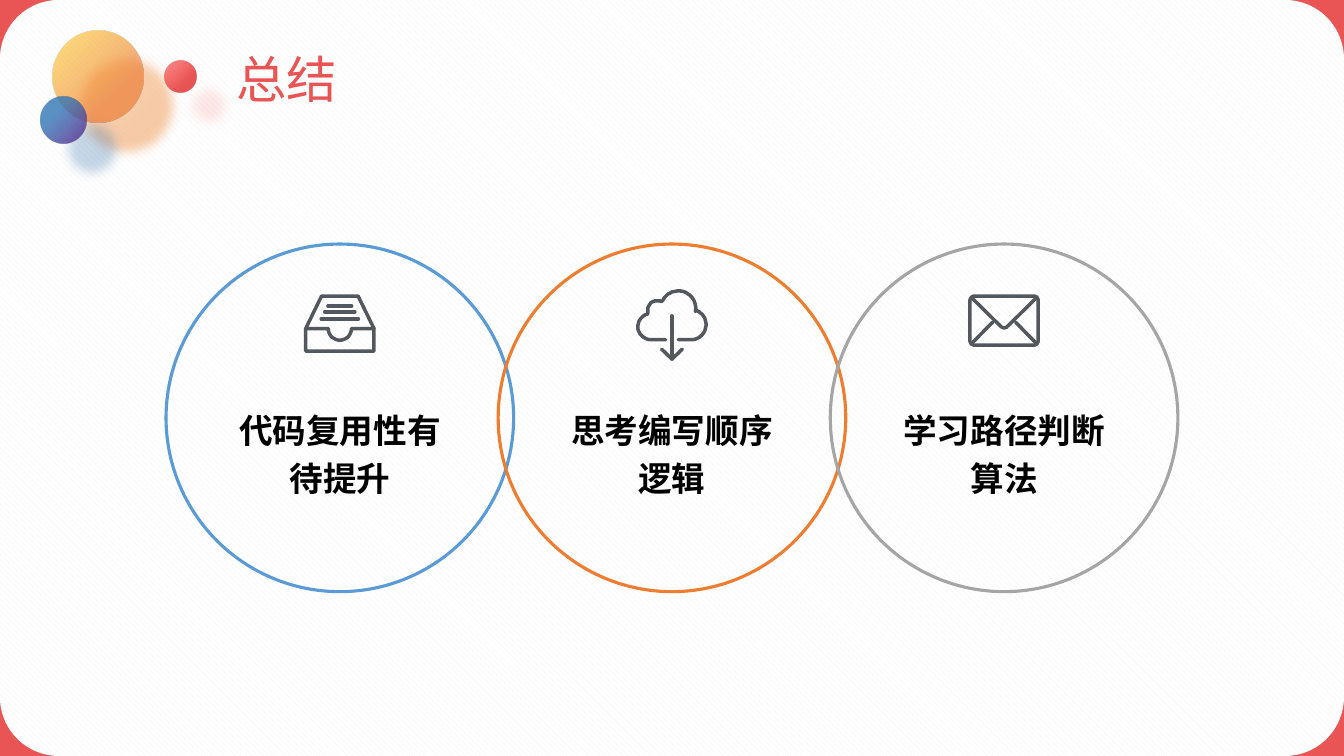
from dataclasses import dataclass
from math import cos, radians, sin
from typing import Any

from lxml.etree import SubElement
from pptx import Presentation
from pptx.dml.color import RGBColor
from pptx.enum.dml import MSO_PATTERN
from pptx.enum.shapes import MSO_SHAPE
from pptx.enum.text import MSO_AUTO_SIZE, PP_ALIGN
from pptx.oxml import parse_xml
from pptx.oxml.ns import nsdecls, qn
from pptx.shapes.autoshape import Shape
from pptx.slide import Slide
from pptx.util import Cm, Pt

Contour = list[tuple[float, float]]


@dataclass(frozen=True)
class Theme:
    """Colours, font and sizes of the slide."""

    accent: str = "E95555"
    paper: str = "FFFFFF"
    stripe: str = "F2F2F2"
    ink: str = "000000"
    icon: str = "53585F"
    font: str = "Noto Sans CJK SC"
    title_size: float = 36
    point_size: float = 24
    ring_line: float = 2.25
    icon_line: float = 2.5


@dataclass(frozen=True)
class Bubble:
    """A glowing decorative ball."""

    left: float
    top: float
    size: float
    stops: tuple[tuple[int, str, int], ...]
    focus: tuple[int, int, int, int]
    glow: str
    glow_alpha: int


@dataclass(frozen=True)
class Point:
    """One conclusion with its ring colour and icon."""

    wording: str
    ring: str
    icon: list[Contour]


def arc(x: float, y: float, radius: float, start: int, end: int) -> Contour:
    """Return points along an arc, clockwise from the right."""
    angles = [radians(start + (end - start) * step / 24) for step in range(25)]
    return [(x + radius * cos(a), y + radius * sin(a)) for a in angles]


THEME = Theme()
SLIDE_WIDTH, SLIDE_HEIGHT = 33.87, 19.05
RING_SIZE, RING_TOP, RING_PITCH = 8.76, 6.15, 8.37
POINT_WIDTH, POINT_TOP, POINT_HEIGHT = 5.79, 10.0, 2.62
ICON_TOP = 7.29

INBOX = [
    [(-46, 17), (46, 17), (86, 99), (86, 156), (-86, 156), (-86, 99), (-46, 17)],
    [(-86, 99), *arc(0, 99, 29, 180, 0), (86, 99)],
    *([(-half, y), (half, y)] for half, y in ((30, 42), (38, 57), (47, 75))),
]
CLOUD = [
    [(-16, 127), *arc(-53, 94, 33, 90, 252), *arc(-37, 53, 24.5, 160, 295),
     *arc(16, 48, 44, 207, 370), *arc(48, 89, 38, -70, 90), (16, 127)],
    [(0, 67), (0, 176)],
    [(-26, 151), (0, 176), (26, 151)],
]
ENVELOPE = [
    [*arc(-74, 29, 12, 180, 270), *arc(74, 29, 12, 270, 360),
     *arc(74, 129, 12, 0, 90), *arc(-74, 129, 12, 90, 180), (-86, 29)],
    [(-83, 20), *arc(0, 84, 13, 135, 45), (83, 20)],
    *([(side * 83, 138), (side * 29, 83)] for side in (-1, 1)),
]

BUBBLES = (
    Bubble(1.32, 0.78, 2.3, ((34, "ED7D31", 65), (100, "FFC000", 50)),
           (100, 100, 0, 0), "F3AF78", 100),
    Bubble(4.14, 1.54, 0.8, ((34, "E53333", 83), (100, "FF4747", 62)),
           (100, 100, 0, 0), "FF4747", 17),
    Bubble(1.01, 2.43, 1.18, ((34, "2E75B6", 78), (100, "632A8D", 85)),
           (0, 0, 100, 100), "497EB1", 40),
)
POINTS = (
    Point("代码复用性有待提升", "5B9BD5", INBOX),
    Point("思考编写顺序逻辑", "ED7D31", CLOUD),
    Point("学习路径判断算法", "A5A5A5", ENVELOPE),
)


def apply(target: Any, values: dict[str, Any]) -> None:
    """Set every listed attribute on the target."""
    for name, value in values.items():
        setattr(target, name, value)


def outline(shape: Shape, color: str, width: float) -> None:
    """Leave a shape hollow with a coloured outline."""
    shape.shadow.inherit = False
    shape.fill.background()
    shape.line.color.rgb = RGBColor.from_string(color)
    shape.line.width = Pt(width)


def draw_paper(slide: Slide) -> None:
    """Draw the striped rounded sheet over the accent background."""
    backdrop = slide.background.fill
    backdrop.solid()
    backdrop.fore_color.rgb = RGBColor.from_string(THEME.accent)
    paper = slide.shapes.add_shape(
        MSO_SHAPE.ROUNDED_RECTANGLE, 0, 0, Cm(SLIDE_WIDTH), Cm(SLIDE_HEIGHT))
    paper.adjustments[0] = 0.078
    paper.shadow.inherit = False
    paper.line.fill.background()
    paper.fill.patterned()
    paper.fill.pattern = MSO_PATTERN.WIDE_DOWNWARD_DIAGONAL
    paper.fill.fore_color.rgb = RGBColor.from_string(THEME.stripe)
    paper.fill.back_color.rgb = RGBColor.from_string(THEME.paper)


def draw_bubble(slide: Slide, bubble: Bubble) -> None:
    """Draw a ball with a radial gradient and a soft offset shadow."""
    ball = slide.shapes.add_shape(
        MSO_SHAPE.OVAL, Cm(bubble.left), Cm(bubble.top), Cm(bubble.size), Cm(bubble.size))
    ball.line.fill.background()
    ball.shadow.inherit = False
    ball.fill.gradient()
    stops = "".join(
        f'<a:gs pos="{place * 1000}"><a:srgbClr val="{color}">'
        f'<a:alpha val="{alpha * 1000}"/></a:srgbClr></a:gs>'
        for place, color, alpha in bubble.stops)
    left, top, right, bottom = (side * 1000 for side in bubble.focus)
    gradient = parse_xml(
        f'<a:gradFill {nsdecls("a")} rotWithShape="1"><a:gsLst>{stops}</a:gsLst>'
        f'<a:path path="circle"><a:fillToRect l="{left}" t="{top}" r="{right}" '
        f'b="{bottom}"/></a:path></a:gradFill>')
    properties = ball.element.spPr
    properties.replace(properties.find(qn("a:gradFill")), gradient)
    properties.find(qn("a:effectLst")).append(parse_xml(
        f'<a:outerShdw {nsdecls("a")} blurRad="{Pt(8)}" dist="{Pt(29)}" dir="2700000" '
        f'algn="tl" rotWithShape="0"><a:srgbClr val="{bubble.glow}">'
        f'<a:alpha val="{bubble.glow_alpha * 1000}"/></a:srgbClr></a:outerShdw>'))


def draw_icon(slide: Slide, contours: list[Contour], center: float) -> None:
    """Draw an icon as one freeform of round-ended strokes."""
    builder = slide.shapes.build_freeform(*contours[0][0], scale=Cm(0.01))
    for contour in contours:
        builder.move_to(*contour[0])
        builder.add_line_segments(contour[1:], close=False)
    icon = builder.convert_to_shape(Cm(center), Cm(ICON_TOP))
    outline(icon, THEME.icon, THEME.icon_line)
    stroke = icon.element.spPr.find(qn("a:ln"))
    stroke.set("cap", "rnd")
    SubElement(stroke, qn("a:round"))


def draw_text(slide: Slide, wording: str, box: tuple[float, ...], frame_format: dict[str, Any],
              paragraph_format: dict[str, Any], font_format: dict[str, Any], color: str) -> None:
    """Write one formatted paragraph in a text box."""
    frame = slide.shapes.add_textbox(*map(Cm, box)).text_frame
    apply(frame, frame_format)
    paragraph = frame.paragraphs[0]
    apply(paragraph, paragraph_format)
    run = paragraph.add_run()
    run.text = wording
    apply(run.font, {"name": THEME.font, **font_format})
    run.font.color.rgb = RGBColor.from_string(color)
    SubElement(run.font._element, qn("a:ea")).set("typeface", THEME.font)


def main() -> None:
    """Build the summary slide."""
    deck = Presentation()
    apply(deck, {"slide_width": Cm(SLIDE_WIDTH), "slide_height": Cm(SLIDE_HEIGHT)})
    slide = deck.slides.add_slide(deck.slide_layouts[6])
    draw_paper(slide)
    for bubble in BUBBLES:
        draw_bubble(slide, bubble)
    for index, point in enumerate(POINTS):
        center = SLIDE_WIDTH / 2 + (index - 1) * RING_PITCH
        draw_icon(slide, point.icon, center)
        draw_text(slide, point.wording,
                  (center - POINT_WIDTH / 2, POINT_TOP, POINT_WIDTH, POINT_HEIGHT),
                  {"word_wrap": True, "auto_size": MSO_AUTO_SIZE.SHAPE_TO_FIT_TEXT},
                  {"alignment": PP_ALIGN.CENTER, "line_spacing": 1.2},
                  {"size": Pt(THEME.point_size), "bold": True}, THEME.ink)
        ring = slide.shapes.add_shape(
            MSO_SHAPE.OVAL, Cm(center - RING_SIZE / 2), Cm(RING_TOP), Cm(RING_SIZE), Cm(RING_SIZE))
        outline(ring, point.ring, THEME.ring_line)
    draw_text(slide, "总结", (5.54, 1.07, 17.04, 2.06),
              {"word_wrap": False, "margin_left": Cm(0.41), "margin_right": Cm(0.41),
               "margin_top": 0, "margin_bottom": 0},
              {"line_spacing": 1.1}, {"size": Pt(THEME.title_size)}, THEME.accent)
    deck.save("out.pptx")


if __name__ == "__main__":
    main()
